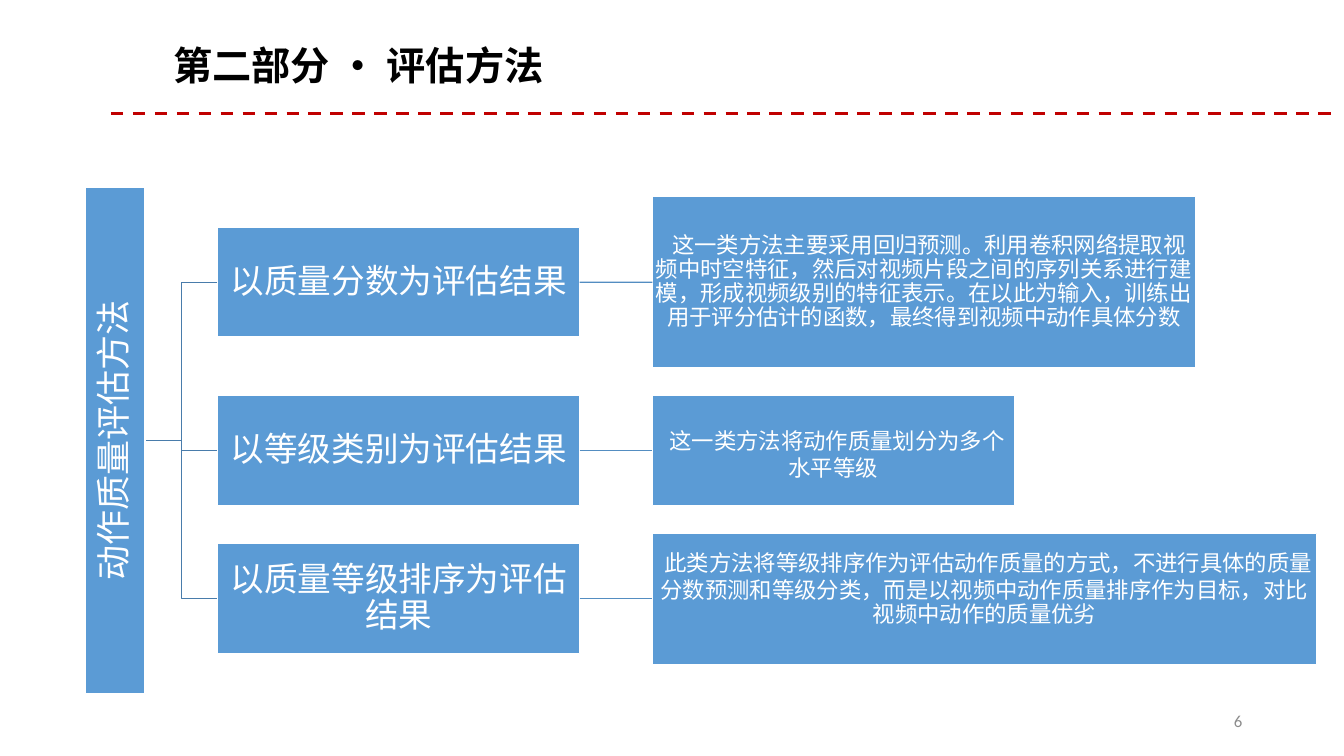
from lxml.etree import SubElement
from pptx import Presentation
from pptx.dml.color import RGBColor
from pptx.enum.dml import MSO_LINE
from pptx.enum.shapes import MSO_CONNECTOR as Connector, MSO_SHAPE as Shape
from pptx.enum.text import MSO_ANCHOR as Anchor, PP_ALIGN as Align
from pptx.oxml.ns import qn
from pptx.util import Inches, Pt

CJK_FONT = "Noto Sans CJK SC"
BLUE, WHITE = "5B9BD5", "FFFFFF"
TRUNK_RIGHT, BRANCH_X, METHOD_LEFT = 1.44, 1.8, 2.16
METHOD_WIDTH, METHOD_HEIGHT, DETAIL_LEFT = 3.59, 1.09, 6.47
TRUNK_LENGTH, TRUNK_WIDTH, TRUNK_MIDDLE = 5.03, 0.59, 4.37

# Middle of the row, method, detail, and the size and format of the detail box
ROWS = [
    (2.8, "以质量分数为评估结果",
     "这一类方法主要采用回归预测。利用卷积网络提取视频中时空特征，然后对视频片段"
     "之间的序列关系进行建模，形成视频级别的特征表示。在以此为输入，训练出用于评分"
     "估计的函数，最终得到视频中动作具体分数",
     5.39, 1.7, {"indent": 0.1, "inset": 0.01}),
    (4.47, "以等级类别为评估结果",
     "这一类方法将动作质量划分为多个水平等级",
     3.59, 1.09, {"lead_size": 25}),
    (5.94, "以质量等级排序为评估结果",
     "此类方法将等级排序作为评估动作质量的方式，不进行具体的质量分数预测和等级分类，"
     "而是以视频中动作质量排序作为目标，对比视频中动作的质量优劣",
     6.59, 1.3, {"lead_size": 25, "bottom": 0.3}),
]


def color(value):
    return RGBColor.from_string(value)


def add_span(para, text, size, fill, font, bold):
    span = para.add_run()
    span.text = text
    span.font.size = Pt(size)
    span.font.bold = bold
    span.font.color.rgb = color(fill)
    span.font.name = font
    SubElement(span.font._element, qn("a:ea"), typeface=CJK_FONT)


def write(box, text, size, fill=WHITE, font="Calibri", bold=False, align=Align.CENTER,
          anchor=Anchor.MIDDLE, inset=0.02, bottom=None, spacing=0.9, indent=0,
          lead_size=None):
    frame = box.text_frame
    frame.word_wrap = True
    frame.vertical_anchor = anchor
    frame.margin_left = frame.margin_right = frame.margin_top = Inches(inset)
    frame.margin_bottom = Inches(inset if bottom is None else bottom)
    para = frame.paragraphs[0]
    para.alignment = align
    para.line_spacing = spacing
    if indent:
        para._p.get_or_add_pPr().set("indent", str(Inches(indent)))
    if lead_size:
        add_span(para, " ", lead_size, fill, font, bold)
    add_span(para, text, size, fill, font, bold)


def add_label(page, left, top, width, height, text, size, **style):
    box = page.shapes.add_textbox(Inches(left), Inches(top), Inches(width), Inches(height))
    write(box, text, size, spacing=1.0, **style)


def add_box(page, left, middle, width, height, text, size, **style):
    box = page.shapes.add_shape(Shape.RECTANGLE, Inches(left), Inches(middle - height / 2),
                                Inches(width), Inches(height))
    box.shadow.inherit = False
    box.fill.solid()
    box.fill.fore_color.rgb = color(BLUE)
    box.line.color.rgb = color(WHITE)
    box.line.width = Pt(1)
    write(box, text, size, **style)
    return box


def add_line(page, start, end, stroke, width):
    line = page.shapes.add_connector(Connector.STRAIGHT, *map(Inches, start + end))
    line.line.color.rgb = color(stroke)
    line.line.width = Pt(width)
    SubElement(line._element.spPr, qn("a:effectLst"))
    return line


def add_branch(page, middle):
    points = [(BRANCH_X, TRUNK_MIDDLE), (BRANCH_X, middle), (METHOD_LEFT, middle)]
    builder = page.shapes.build_freeform(Inches(TRUNK_RIGHT), Inches(TRUNK_MIDDLE))
    builder.add_line_segments([(Inches(x), Inches(y)) for x, y in points], close=False)
    branch = builder.convert_to_shape()
    branch.shadow.inherit = False
    branch.fill.background()
    branch.line.color.rgb = color("497CAB")
    branch.line.width = Pt(1)


def add_row(page, middle, method, detail, width, height, style):
    add_branch(page, middle)
    method_box = add_box(page, METHOD_LEFT, middle, METHOD_WIDTH, METHOD_HEIGHT, method, 24)
    detail_box = add_box(page, DETAIL_LEFT, middle, width, height, detail, 16, **style)
    link = add_line(page, (METHOD_LEFT + METHOD_WIDTH, middle), (DETAIL_LEFT, middle),
                    "538DC1", 1)
    link.begin_connect(method_box, 3)
    link.end_connect(detail_box, 1)


def main():
    deck = Presentation()
    deck.slide_width, deck.slide_height = Inches(13.33), Inches(7.5)
    page = deck.slides.add_slide(deck.slide_layouts[6])

    # Heading with dashed rule
    rule = add_line(page, (1.1, 1.13), (13.22, 1.13), "C00000", 2.25)
    rule.line.dash_style = MSO_LINE.DASH
    add_label(page, 1.62, 0.31, 7.12, 0.57, "第二部分 · 评估方法", 28, fill="000000",
              font=CJK_FONT, bold=True, align=Align.LEFT, anchor=Anchor.TOP,
              inset=0.1, bottom=0.05)

    # Tree of assessment methods
    for row in ROWS:
        add_row(page, *row)
    trunk_left = TRUNK_RIGHT - (TRUNK_WIDTH + TRUNK_LENGTH) / 2
    trunk = add_box(page, trunk_left, TRUNK_MIDDLE, TRUNK_LENGTH, TRUNK_WIDTH,
                    "动作质量评估方法", 25)
    trunk.rotation = 270

    # Slide number
    add_label(page, 9.42, 6.95, 3, 0.4, "6", 12, fill="8C8C8C", align=Align.RIGHT, inset=0.1)

    deck.save("out.pptx")


if __name__ == "__main__":
    main()
